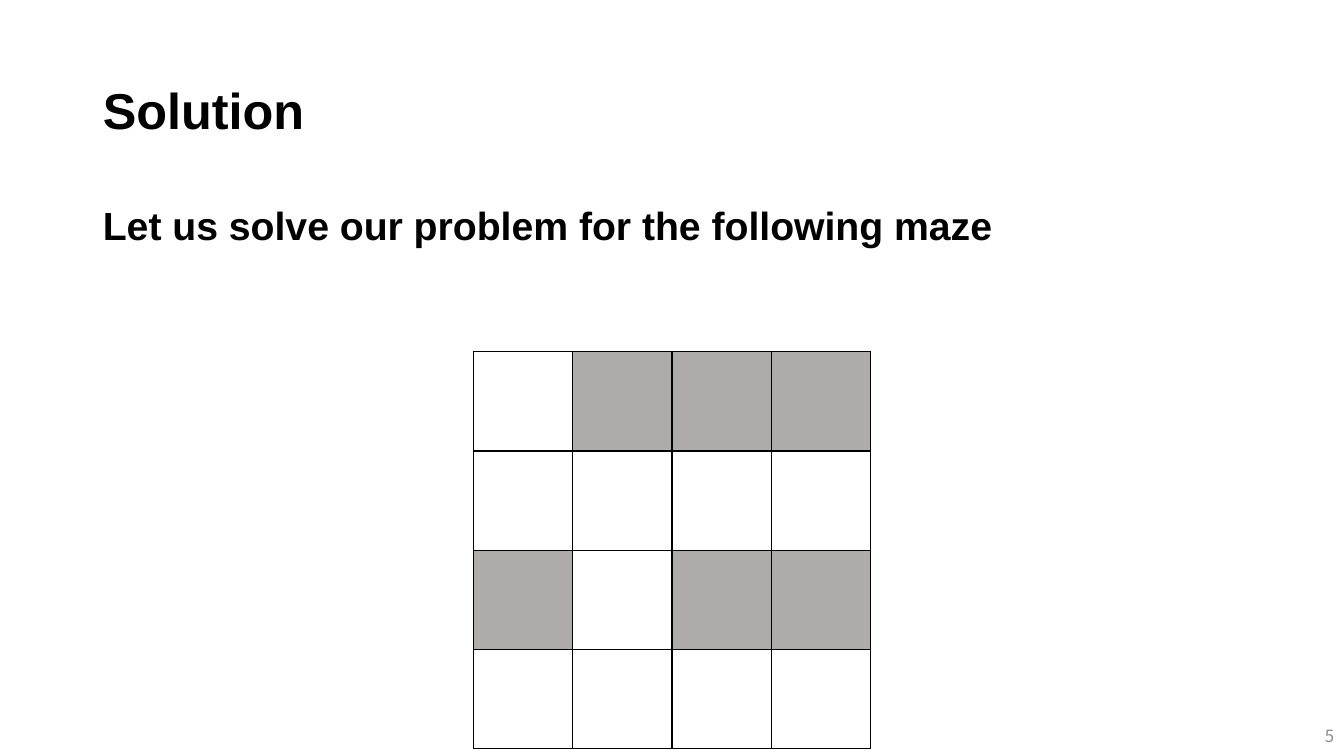
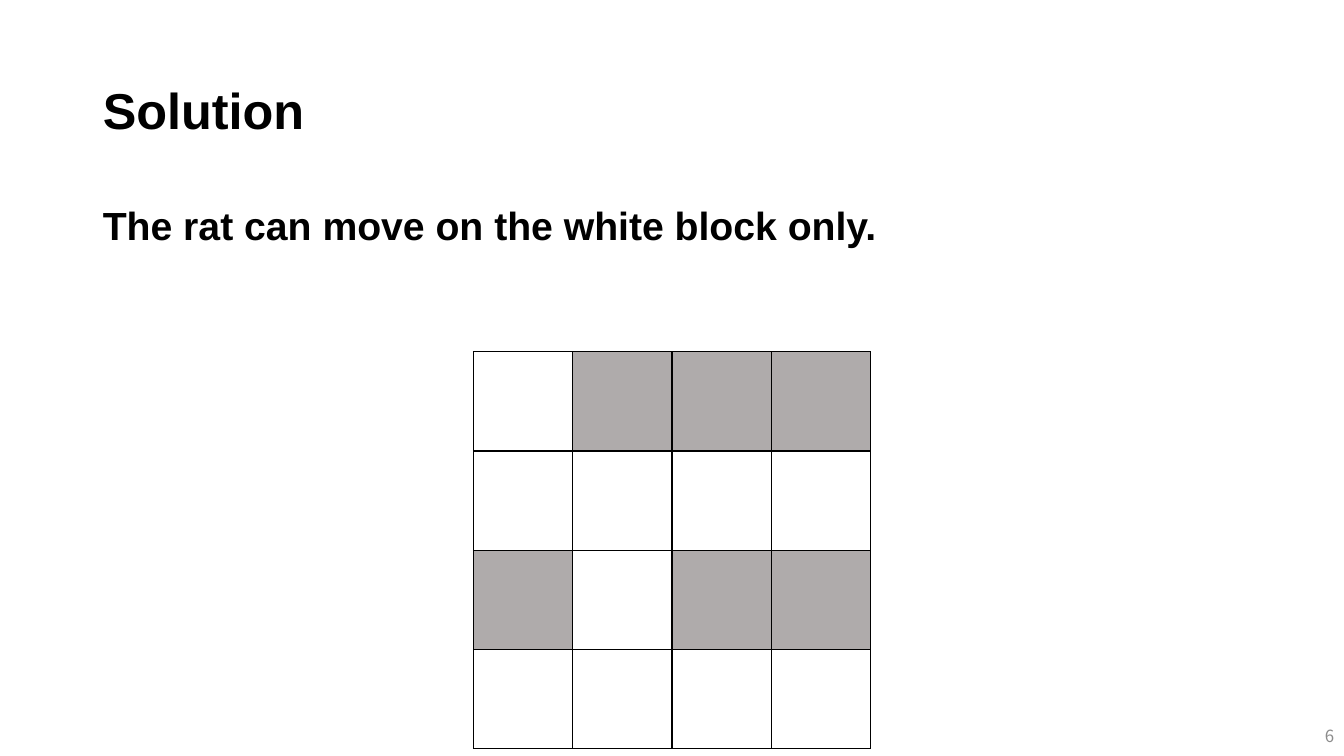
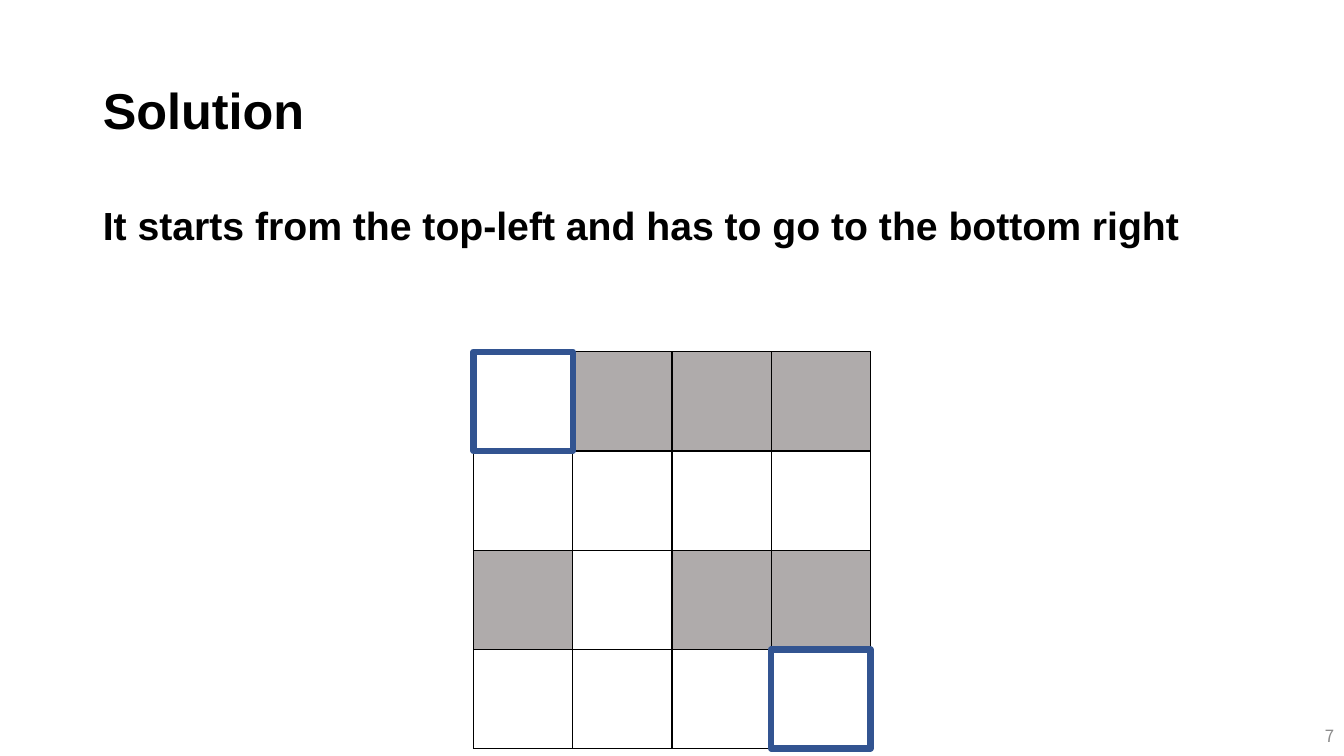
from dataclasses import dataclass
from typing import NamedTuple

from lxml import etree
from pptx import Presentation
from pptx import util as u
from pptx.dml.color import RGBColor
from pptx.enum import shapes, text
from pptx.oxml import ns

# Scale: the slide is 2560 x 1440 px
PX = 4762.5
SLIDE_W, SLIDE_H = 2560, 1440

# Colours
BLACK = RGBColor(0x00, 0x00, 0x00)
WALL = RGBColor(0xAF, 0xAB, 0xAB)
MARK = RGBColor(0x32, 0x54, 0x91)
NUMBER = RGBColor(0x8C, 0x8C, 0x8C)

# Maze: '#' is a wall, '.' is free
MAZE = (".###", "....", "#.##", "....")
MAZE_LEFT, MAZE_TOP, CELL = 902, 670, 189
START, GOAL = (0, 0), (3, 3)


class Box(NamedTuple):
    left: int
    top: int
    width: int
    height: int


@dataclass(frozen=True)
class TextStyle:
    box: Box
    size: int
    font: str = "Arial"
    color: RGBColor = BLACK
    bold: bool = True
    align: text.PP_ALIGN = text.PP_ALIGN.LEFT
    anchor: text.MSO_ANCHOR = text.MSO_ANCHOR.MIDDLE
    spacing: float = 0.9


@dataclass(frozen=True)
class Page:
    number: int
    statement: str
    marked: tuple[tuple[int, int], ...] = ()


# Shared text styles
TITLE = TextStyle(Box(177, 77, 2208, 278), 36)
BODY = TextStyle(Box(177, 384, 2208, 111), 28, anchor=text.MSO_ANCHOR.TOP)
FOOTER = TextStyle(Box(1984, 1363, 576, 77), 12, "Noto Sans CJK KR", NUMBER,
                   False, text.PP_ALIGN.RIGHT, spacing=1.0)

PAGES = (
    Page(5, "Let us solve our problem for the following maze"),
    Page(6, "The rat can move on the white block only."),
    Page(7, "It starts from the top-left and has to go to the bottom right",
         (START, GOAL)),
)


def emu(px: int) -> u.Emu:
    return u.Emu(round(px * PX))


def place(box: Box) -> list[u.Emu]:
    return [emu(v) for v in box]


def add_text(slide, style: TextStyle, words: str) -> None:
    tf = slide.shapes.add_textbox(*place(style.box)).text_frame
    tf.word_wrap = True
    tf.vertical_anchor = style.anchor
    tf.text = words
    p = tf.paragraphs[0]
    p.alignment = style.align
    p.line_spacing = style.spacing
    font = p.runs[0].font
    font.name = style.font
    font.size = u.Pt(style.size)
    font.bold = style.bold
    font.color.rgb = style.color


def add_borders(cell) -> None:
    """Draw a thin black line on every side of a cell."""
    props = cell._tc.get_or_add_tcPr()
    for i, side in enumerate(("lnL", "lnR", "lnT", "lnB")):
        line = etree.Element(ns.qn(f"a:{side}"), w=str(u.Pt(1)))
        fill = etree.SubElement(line, ns.qn("a:solidFill"))
        etree.SubElement(fill, ns.qn("a:srgbClr"), val=str(BLACK))
        props.insert(i, line)


def add_maze(slide) -> None:
    rows, cols = len(MAZE), len(MAZE[0])
    box = Box(MAZE_LEFT, MAZE_TOP, cols * CELL, rows * CELL)
    table = slide.shapes.add_table(rows, cols, *place(box)).table
    table.first_row = table.horz_banding = False
    for col in table.columns:
        col.width = emu(CELL)
    for row, pattern in zip(table.rows, MAZE):
        row.height = emu(CELL)
        for cell, kind in zip(row.cells, pattern):
            if kind == "#":
                cell.fill.solid()
                cell.fill.fore_color.rgb = WALL
            else:
                cell.fill.background()
            add_borders(cell)


def add_marker(slide, row: int, col: int) -> None:
    """Outline one cell of the maze."""
    box = Box(MAZE_LEFT + col * CELL, MAZE_TOP + row * CELL, CELL, CELL)
    sp = slide.shapes.add_shape(shapes.MSO_SHAPE.RECTANGLE, *place(box))
    sp.shadow.inherit = False
    sp.fill.background()
    sp.line.color.rgb = MARK
    sp.line.width = u.Pt(4.5)


def add_page(prs, page: Page) -> None:
    slide = prs.slides.add_slide(prs.slide_layouts[6])
    add_text(slide, TITLE, "Solution")
    add_text(slide, FOOTER, str(page.number))
    add_text(slide, BODY, page.statement)
    add_maze(slide)
    for row, col in page.marked:
        add_marker(slide, row, col)


def main() -> None:
    prs = Presentation()
    prs.slide_width, prs.slide_height = emu(SLIDE_W), emu(SLIDE_H)
    for page in PAGES:
        add_page(prs, page)
    prs.save("out.pptx")


if __name__ == "__main__":
    main()
